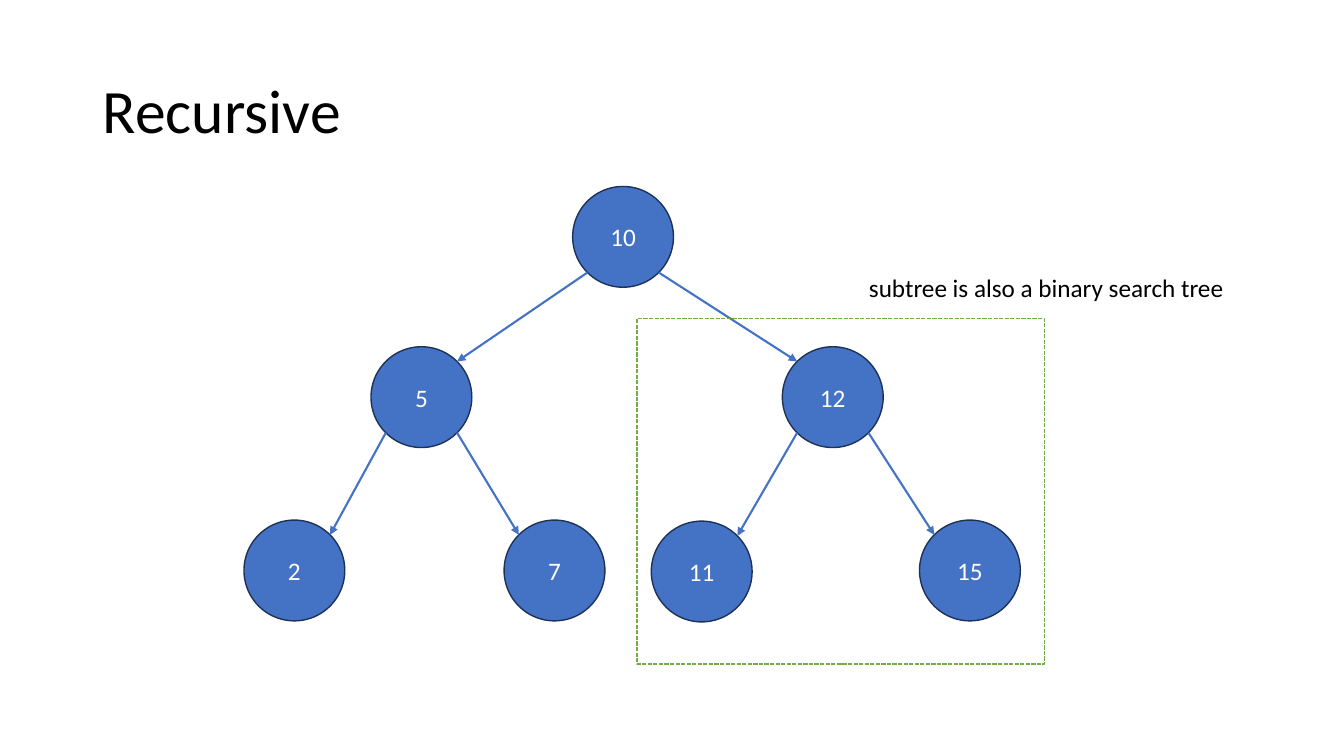
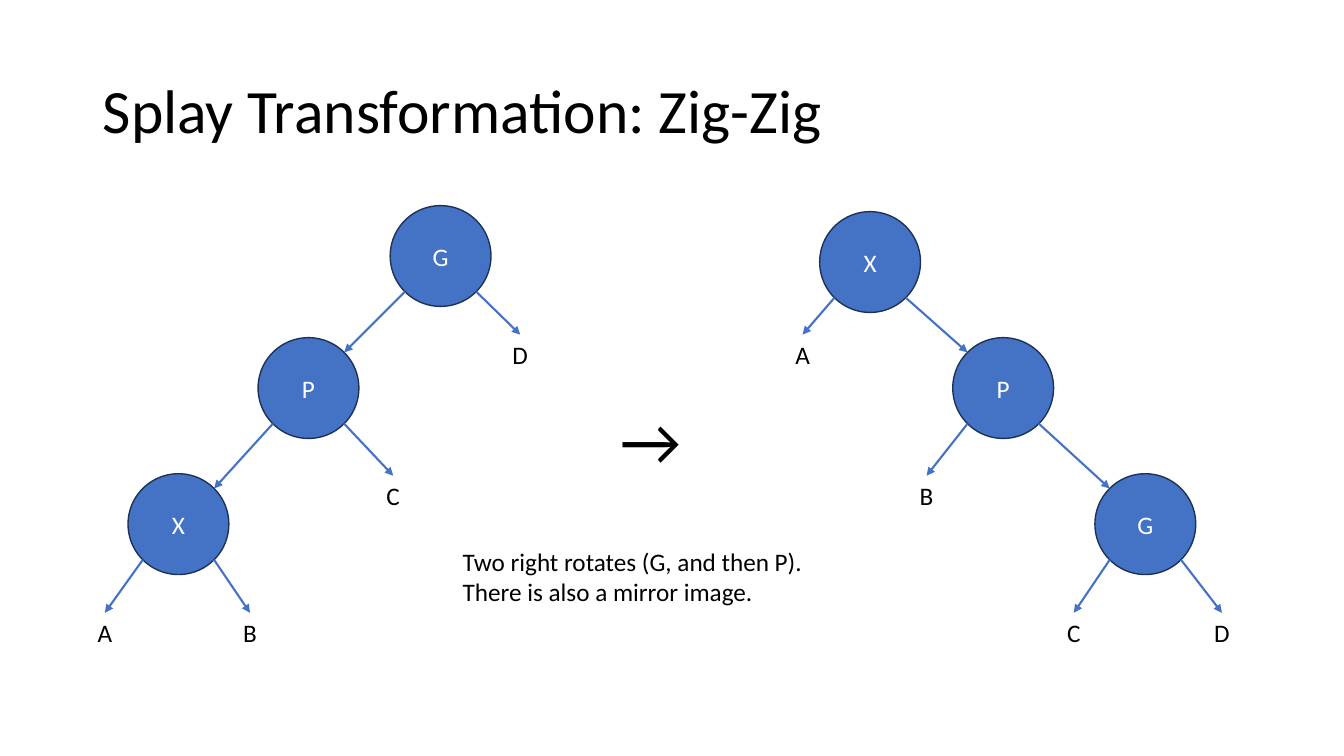
from dataclasses import dataclass
from math import sqrt

from lxml.etree import SubElement
from pptx import Presentation
from pptx.dml.color import RGBColor
from pptx.enum.dml import MSO_LINE
from pptx.enum.shapes import MSO_CONNECTOR, MSO_SHAPE
from pptx.enum.text import MSO_ANCHOR, PP_ALIGN
from pptx.oxml.ns import qn
from pptx.util import Inches, Pt

FONT = "Calibri"
BLUE = RGBColor(0x44, 0x72, 0xC4)
NAVY = RGBColor(0x1E, 0x32, 0x56)
GREEN = RGBColor(0x70, 0xAD, 0x47)
BLACK = RGBColor(0, 0, 0)
WHITE = RGBColor(0xFF, 0xFF, 0xFF)

DIAMETER = 1
DIAGONAL = DIAMETER / 2 / sqrt(2)  # centre to a corner point of the circle
LABEL_WIDTH = 0.36
LABEL_HEIGHT = 0.4


@dataclass
class Leaf:
    """A plain letter under a tree, placed by its centre and top."""
    label: str
    center: float
    top: float


@dataclass
class Node:
    """A circle with its children, placed by its left and top."""
    label: str
    left: float
    top: float
    children: tuple = ()

    def corner(self, side, end):
        """Point on the circle; side and end are -1 (left, top) or 1."""
        middle = DIAMETER / 2
        return (self.left + middle + side * DIAGONAL,
                self.top + middle + end * DIAGONAL)


SEARCH_TREE = Node("10", 5.68, 1.85, (
    Node("5", 3.68, 3.44, (Node("2", 2.42, 5.16), Node("7", 5, 5.16))),
    Node("12", 7.76, 3.44, (Node("11", 6.46, 5.17), Node("15", 9.12, 5.16))),
))
BEFORE_ZIG_ZIG = Node("G", 3.87, 2.04, (
    Node("P", 2.56, 3.35, (
        Node("X", 1.27, 4.7, (Leaf("A", 1.04, 6.08), Leaf("B", 2.48, 6.08))),
        Leaf("C", 3.9, 4.72))),
    Leaf("D", 5.16, 3.32),
))
AFTER_ZIG_ZIG = Node("X", 8.13, 2.1, (
    Leaf("A", 7.96, 3.32),
    Node("P", 9.45, 3.35, (
        Leaf("B", 9.19, 4.72),
        Node("G", 10.86, 4.7,
             (Leaf("C", 10.65, 6.08), Leaf("D", 12.12, 6.08))))),
))


def style_paragraph(para, size, color, align=PP_ALIGN.LEFT):
    para.alignment = align
    para.font.name = FONT
    para.font.size = Pt(size)
    para.font.color.rgb = color


def add_titled_slide(deck, title):
    slide = deck.slides.add_slide(deck.slide_layouts[5])
    box = slide.shapes.title
    box.left, box.top = Inches(0.92), Inches(0.4)
    box.width, box.height = Inches(11.5), Inches(1.45)
    frame = box.text_frame
    frame.text = title
    frame.vertical_anchor = MSO_ANCHOR.MIDDLE
    para = frame.paragraphs[0]
    style_paragraph(para, 44, BLACK)
    para.line_spacing = 0.9
    return slide


def add_text(slide, text, left, top, width, height, size=18,
             align=PP_ALIGN.LEFT):
    box = slide.shapes.add_textbox(
        Inches(left), Inches(top), Inches(width), Inches(height))
    frame = box.text_frame
    frame.word_wrap = False
    frame.text = text
    for para in frame.paragraphs:
        style_paragraph(para, size, BLACK, align)


def add_circle(slide, node):
    circle = slide.shapes.add_shape(
        MSO_SHAPE.OVAL, Inches(node.left), Inches(node.top),
        Inches(DIAMETER), Inches(DIAMETER))
    circle.shadow.inherit = False
    circle.fill.solid()
    circle.fill.fore_color.rgb = BLUE
    circle.line.color.rgb = NAVY
    circle.line.width = Pt(1)
    frame = circle.text_frame
    frame.text = node.label
    frame.vertical_anchor = MSO_ANCHOR.MIDDLE
    style_paragraph(frame.paragraphs[0], 18, WHITE, PP_ALIGN.CENTER)


def add_arrow(slide, start, end):
    points = [Inches(value) for value in (*start, *end)]
    arrow = slide.shapes.add_connector(MSO_CONNECTOR.STRAIGHT, *points)
    arrow.line.color.rgb = BLUE
    arrow.line.width = Pt(1.5)
    SubElement(arrow.get_or_add_ln(), qn("a:tailEnd"), type="triangle")
    SubElement(arrow.element.spPr, qn("a:effectLst"))


def add_tree(slide, item):
    """Draw a leaf, or a node with its arrows and everything below it."""
    if isinstance(item, Leaf):
        add_text(slide, item.label, item.center - LABEL_WIDTH / 2, item.top,
                 LABEL_WIDTH, LABEL_HEIGHT, align=PP_ALIGN.CENTER)
        return
    add_circle(slide, item)
    for side, child in zip((-1, 1), item.children):
        add_tree(slide, child)
        if isinstance(child, Leaf):
            end = (child.center, child.top)
        else:
            end = child.corner(-side, -1)
        add_arrow(slide, item.corner(side, 1), end)


def add_dashed_frame(slide, left, top, width, height):
    frame = slide.shapes.add_shape(
        MSO_SHAPE.RECTANGLE, Inches(left), Inches(top),
        Inches(width), Inches(height))
    frame.shadow.inherit = False
    frame.fill.background()
    frame.line.color.rgb = GREEN
    frame.line.width = Pt(1)
    frame.line.dash_style = MSO_LINE.SQUARE_DOT


def main():
    deck = Presentation()
    deck.slide_width, deck.slide_height = Inches(13.33), Inches(7.5)

    recursive = add_titled_slide(deck, "Recursive")
    add_tree(recursive, SEARCH_TREE)
    add_dashed_frame(recursive, 6.32, 3.16, 4.04, 3.43)
    add_text(recursive, "subtree is also a binary search tree",
             8.52, 2.65, 3.9, 0.4)

    zig_zig = add_titled_slide(deck, "Splay Transformation: Zig-Zig")
    add_tree(zig_zig, BEFORE_ZIG_ZIG)
    add_tree(zig_zig, AFTER_ZIG_ZIG)
    add_text(zig_zig, "Two right rotates (G, and then P).\n"
             "There is also a mirror image.", 4.49, 5.37, 3.61, 0.71)
    add_text(zig_zig, "→", 6.06, 3.9, 0.81, 0.91, size=48)

    deck.save("out.pptx")


if __name__ == "__main__":
    main()
